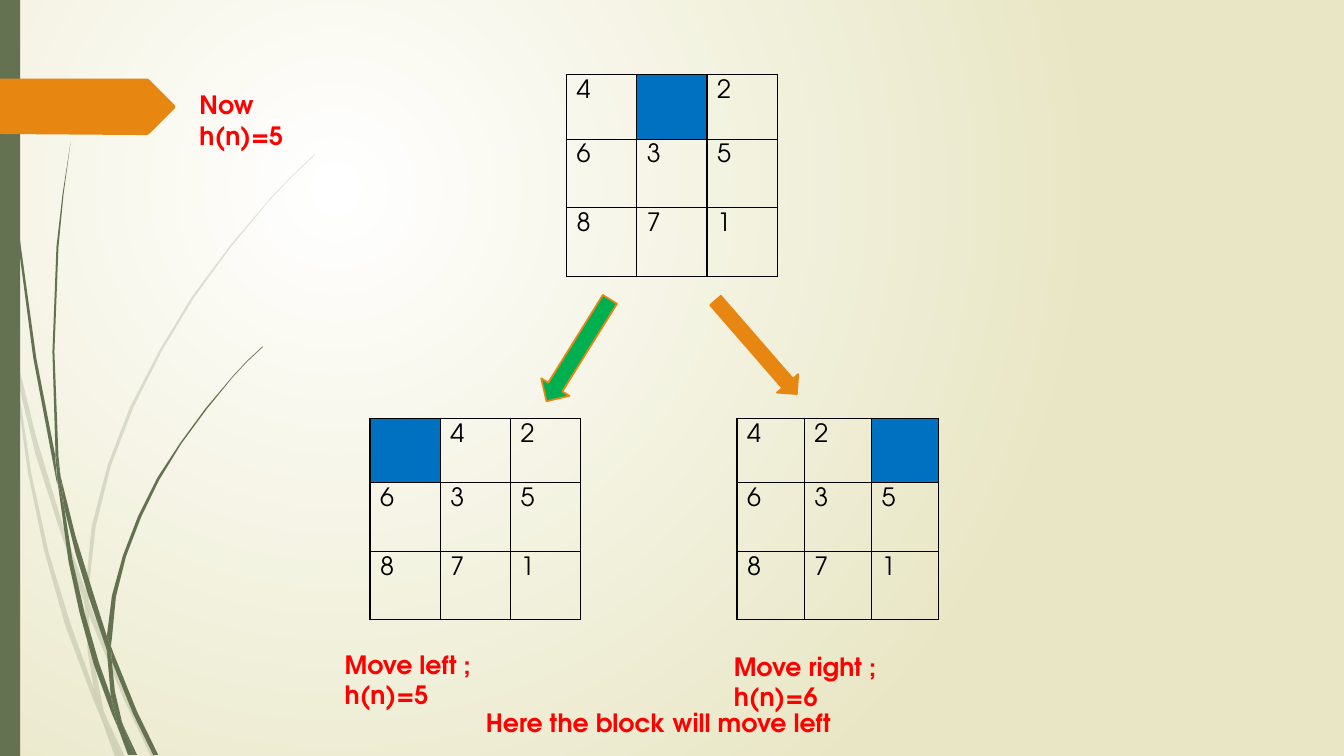
from pptx import Presentation
from pptx.dml.color import RGBColor
from pptx.enum import shapes
from pptx.oxml import parse_xml
from pptx.oxml import ns
from pptx.util import Inches, Pt

WHITE = RGBColor(0xFF, 0xFF, 0xFF)
CREAM = RGBColor(0xE8, 0xE6, 0xC4)
MOSS = RGBColor(0x64, 0x72, 0x52)
ORANGE = RGBColor(0xE7, 0x87, 0x12)
GREEN = RGBColor(0x00, 0xB0, 0x50)
BLUE = RGBColor(0x00, 0x70, 0xC0)
RED = RGBColor(0xFF, 0x00, 0x00)
BLACK = RGBColor(0x00, 0x00, 0x00)
FONT = "TeX Gyre Adventor"

PALE_BLADES = [
    [(11, 350), (9, 322), (0, 282), (0, 299), (10, 344)],
    [(58, 522), (84, 599), (85, 586), (62, 520), (36, 434), (14, 345), (17, 376), (35, 450)],
    [(92, 607), (88, 596), (88, 610), (123, 694), (150, 751), (155, 751), (127, 692)],
    [(119, 751), (124, 751), (105, 711)],
    [(93, 683), (70, 619), (48, 547), (31, 469), (17, 376), (11, 350), (28, 470),
     (44, 547), (65, 621), (92, 693), (101, 714), (99, 707)],
    [(84, 599), (87, 646), (93, 683), (96, 692), (105, 711), (103, 706), (91, 646),
     (88, 610), (88, 608)],
    [(88, 584), (95, 522), (110, 462), (132, 405), (160, 349), (192, 296), (229, 245),
     (268, 198), (290, 175), (312, 154), (312, 153), (289, 175), (268, 197), (228, 244),
     (190, 295), (158, 348), (129, 404), (107, 461), (91, 522), (85, 584), (85, 586), (88, 596)],
    [(101, 714), (114, 751), (119, 751)],
    [(88, 608), (88, 610), (88, 596), (85, 586), (84, 599)],
    [(96, 692), (93, 683), (99, 707), (101, 714), (119, 751), (105, 711)],
]
DARK_BLADES = [
    [(7, 110), (17, 233), (33, 355), (56, 477), (57, 481), (55, 457), (55, 453), (36, 355),
     (19, 232), (8, 109), (5, 48), (4, 0), (3, 0), (4, 48)],
    [(88, 592), (106, 645), (106, 633), (106, 631), (93, 590), (75, 532), (60, 472),
     (64, 505), (75, 549)],
    [(113, 649), (110, 641), (111, 656), (132, 708), (152, 749), (157, 749), (136, 706)],
    [(110, 691), (98, 657), (84, 608), (72, 556), (64, 505), (57, 477), (68, 557),
     (79, 608), (93, 659), (111, 708), (117, 722), (116, 717)],
    [(60, 472), (58, 453), (54, 349), (58, 245), (63, 193), (70, 141), (62, 193),
     (56, 245), (52, 349), (55, 449)],
    [(133, 749), (136, 749), (122, 719)],
    [(57, 477), (64, 505), (60, 472), (55, 449), (55, 453)],
    [(111, 633), (115, 592), (125, 552), (140, 513), (158, 476), (180, 440), (205, 406),
     (231, 374), (245, 359), (261, 344), (260, 344), (245, 358), (231, 373), (204, 405),
     (179, 439), (156, 474), (137, 512), (122, 551), (111, 591), (106, 631), (110, 641)],
    [(117, 722), (127, 749), (131, 749)],
    [(106, 645), (110, 691), (116, 706), (122, 719), (121, 716), (114, 686), (111, 656), (109, 651)],
    [(106, 645), (109, 651), (111, 656), (110, 641), (106, 631), (106, 633)],
    [(116, 706), (110, 691), (116, 717), (117, 722), (130, 749), (133, 749), (122, 719)],
]
TAG = [(173, 108), (148, 133), (146, 134), (136, 134), (0, 133), (0, 78), (136, 78),
       (146, 78), (148, 79), (173, 104), (174, 106)]


def paint(shape, color, line=None):
    shape.shadow.inherit = False
    shape.fill.solid()
    shape.fill.fore_color.rgb = color
    if line is None:
        shape.line.fill.background()
    else:
        shape.line.color.rgb = line
        shape.line.width = Pt(1.25)


def style(paragraph, color, bold=False):
    for run in paragraph.runs:
        run.font.name = FONT
        run.font.size = Pt(18)
        run.font.bold = bold
        run.font.color.rgb = color


def add_outline(parent, left, top, points, color, alpha=None):
    builder = parent.build_freeform(*points[0], scale=Inches(0.01))
    builder.add_line_segments(points[1:], close=True)
    outline = builder.convert_to_shape(Inches(left), Inches(top))
    paint(outline, color)
    if alpha is not None:
        clr = outline.fill._xPr.find(".//" + ns.qn("a:srgbClr"))
        clr.append(parse_xml(f'<a:alpha {ns.nsdecls("a")} val="{alpha * 1000}"/>'))


def add_backdrop(slide):
    fill = slide.background.fill
    fill.gradient()
    for stop, color in zip(fill.gradient_stops, (WHITE, CREAM)):
        stop.color.rgb = color
    gradient = slide.element.find(".//" + ns.qn("a:gradFill"))
    gradient.replace(gradient.find(ns.qn("a:lin")), parse_xml(
        f'<a:path {ns.nsdecls("a")} path="circle">'
        '<a:fillToRect l="50000" t="50000" r="100000" b="100000"/></a:path>'))


def add_side_decor(slide, left, top, height):
    for blades, alpha in ((PALE_BLADES, 20), (DARK_BLADES, None)):
        tuft = slide.shapes.add_group_shape()
        for blade in blades:
            add_outline(tuft.shapes, left, top, blade, MOSS, alpha)
    stripe = slide.shapes.add_shape(shapes.MSO_SHAPE.RECTANGLE, Inches(left), Inches(top),
                                    Inches(0.2), Inches(height))
    paint(stripe, MOSS)
    add_outline(slide.shapes, left, top, TAG, ORANGE)


def add_caption(slide, left, top, width, wording):
    caption = slide.shapes.add_textbox(Inches(left), Inches(top), Inches(width), Inches(0.4))
    caption.text_frame.word_wrap = True
    caption.text_frame.text = wording
    style(caption.text_frame.paragraphs[0], RED, bold=True)


def add_border(cell):
    props = cell._tc.get_or_add_tcPr()
    for index, side in enumerate(("lnL", "lnR", "lnT", "lnB")):
        props.insert(index, parse_xml(
            f'<a:{side} {ns.nsdecls("a")} w="12700"><a:solidFill>'
            f'<a:srgbClr val="{BLACK}"/></a:solidFill></a:{side}>'))


def add_puzzle(slide, left, top, width, tiles):
    heights = (0.64, 0.68, 0.68)
    board = slide.shapes.add_table(3, 3, Inches(left), Inches(top),
                                   Inches(width), Inches(sum(heights))).table
    board.first_row = board.horz_banding = False
    for row, height in zip(board.rows, heights):
        row.height = Inches(height)
    for index, tile in enumerate(tiles):
        cell = board.cell(*divmod(index, 3))
        if tile == "_":
            cell.fill.solid()
            cell.fill.fore_color.rgb = BLUE
        else:
            cell.fill.background()
            cell.text_frame.text = tile
            style(cell.text_frame.paragraphs[0], BLACK)
        add_border(cell)


def add_move_arrow(slide, left, top, width, height, angle, color):
    arrow = slide.shapes.add_shape(shapes.MSO_SHAPE.DOWN_ARROW, Inches(left), Inches(top),
                                   Inches(width), Inches(height))
    arrow.rotation = angle
    paint(arrow, color, ORANGE)


def build_slide(deck):
    slide = deck.slides.add_slide(deck.slide_layouts[6])
    add_backdrop(slide)
    add_side_decor(slide, 0, 0, 7.5)
    add_caption(slide, 1.88, 0.84, 1.61, "Now h(n)=5")
    add_puzzle(slide, 3.67, 4.15, 2.09, "_42635871")
    add_puzzle(slide, 7.31, 4.15, 2, "42_635871")
    add_caption(slide, 7.18, 6.41, 2.5, "Move right ; h(n)=6")
    add_caption(slide, 3.32, 6.39, 2.33, "Move left ; h(n)=5")
    add_caption(slide, 4.72, 6.97, 3.74, "Here the block will move left")
    add_puzzle(slide, 5.62, 0.74, 2.09, "4_2635871")
    add_move_arrow(slide, 5.57, 2.88, 0.33, 1.19, 31.9, GREEN)
    add_move_arrow(slide, 7.36, 2.83, 0.28, 1.23, 319, ORANGE)


deck = Presentation()
deck.slide_width, deck.slide_height = Inches(13.33), Inches(7.5)
build_slide(deck)
deck.save("out.pptx")
